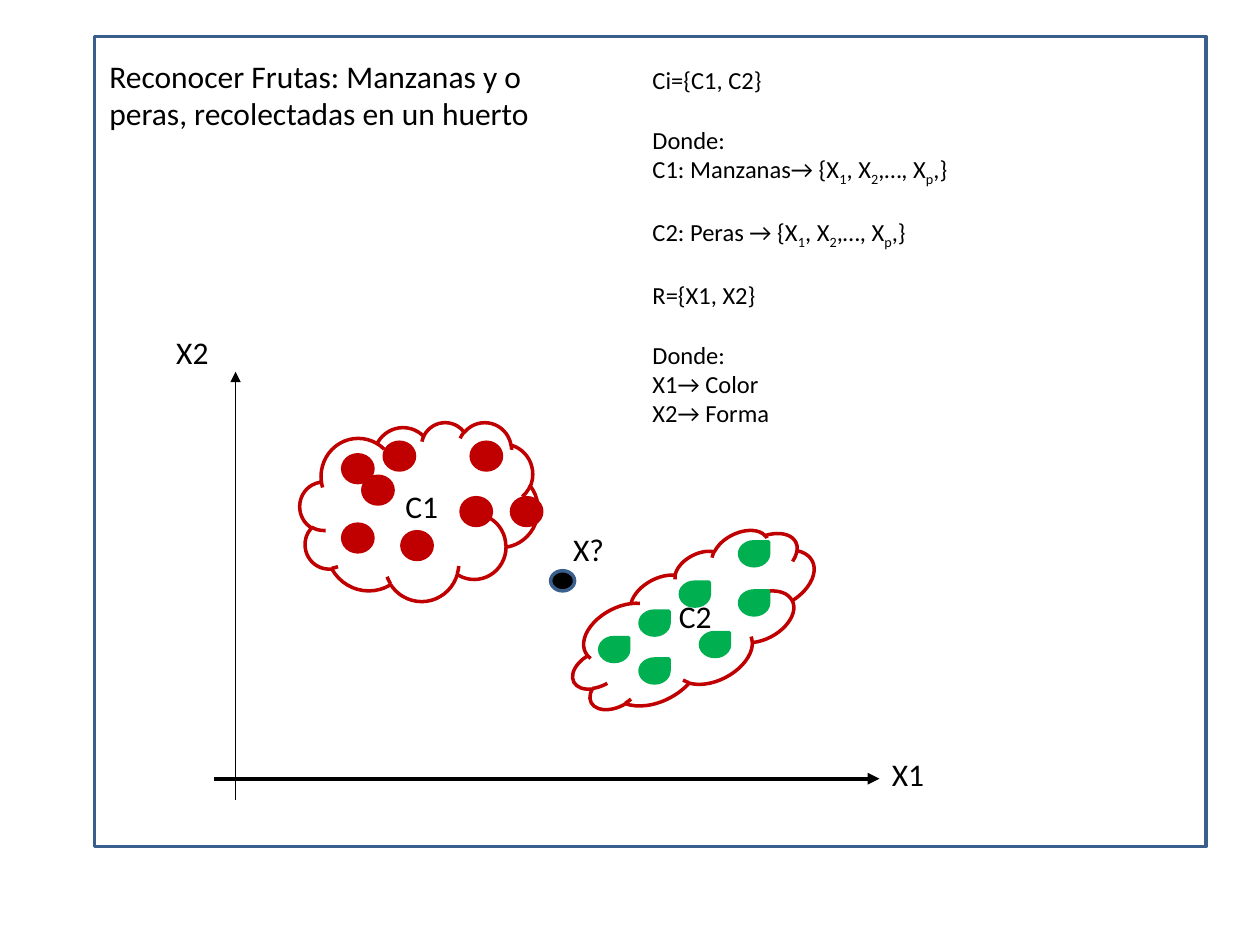
"""Build a slide on classifying apples and pears by colour and shape."""
from dataclasses import dataclass
from typing import NamedTuple, Optional

from lxml.etree import SubElement
from pptx import Presentation
from pptx.dml.color import RGBColor
from pptx.enum.shapes import MSO_CONNECTOR, MSO_SHAPE
from pptx.enum.text import MSO_AUTO_SIZE
from pptx.oxml.ns import qn
from pptx.util import Inches, Pt


@dataclass(frozen=True)
class Theme:
    font: str = "Calibri"
    label_size: float = 18
    notation_size: float = 14
    notation_gap: float = 17
    outline: float = 2
    ink: str = "000000"
    frame: str = "3A5F8C"
    apple: str = "C00000"
    pear: str = "00B050"


class Box(NamedTuple):
    left: float
    top: float
    width: float
    height: float


class Figure(NamedTuple):
    preset: MSO_SHAPE
    box: Box
    line: str
    fill: Optional[str] = None
    rotation: float = 0


class Label(NamedTuple):
    text: str
    box: Box
    wrap: bool = True


class Axis(NamedTuple):
    start: tuple[float, float]
    end: tuple[float, float]
    weight: float


class Statement(NamedTuple):
    text: str
    gap_before: bool = False


THEME = Theme()

AXES = [Axis((1.7, 6.18), (6.98, 6.18), 2.25), Axis((1.87, 6.35), (1.87, 2.95), 0.75)]

FEATURES = "{X_1, X_2,…, X_p,}"
NOTATION = [
    Statement("Ci={C1, C2}"),
    Statement("Donde:", True),
    Statement(f"C1: Manzanas→ {FEATURES}"),
    Statement(f"C2: Peras → {FEATURES}", True),
    Statement("R={X1, X2}", True),
    Statement("Donde: ", True),
    Statement("X1→ Color"),
    Statement("X2→ Forma"),
]

CLUSTERS = [
    Figure(MSO_SHAPE.CLOUD, Box(4.45, 4.46, 2.12, 0.98), THEME.apple, rotation=332.7),
    Figure(MSO_SHAPE.CLOUD, Box(2.38, 3.35, 1.89, 1.42), THEME.apple),
]
UNKNOWN = Figure(MSO_SHAPE.OVAL, Box(4.37, 4.53, 0.19, 0.16), THEME.frame, THEME.ink)

LABELS = [
    Label("C1", Box(3.12, 3.82, 0.46, 0.4), False),
    Label("C2", Box(5.29, 4.69, 0.97, 0.4)),
    Label("X2", Box(1.3, 2.59, 0.81, 0.4)),
    Label("X1", Box(6.98, 5.94, 0.81, 0.4)),
    Label("Reconocer Frutas: Manzanas y o peras, recolectadas en un huerto",
          Box(0.77, 0.4, 3.9, 0.71)),
]
UNKNOWN_LABEL = Label("X?", Box(4.45, 4.16, 0.45, 0.4), False)

PEARS = [(4.76, 5.06), (5.08, 5.23), (5.08, 4.85), (5.56, 5.02),
         (5.4, 4.62), (5.87, 4.69), (5.87, 4.3)]
APPLES = [(2.72, 3.61), (2.88, 3.78), (3.66, 3.95), (3.05, 3.51),
          (4.06, 3.95), (3.74, 3.51), (2.72, 4.16), (3.19, 4.22)]


def draw_figure(slide, figure: Figure) -> None:
    shape = slide.shapes.add_shape(figure.preset, *map(Inches, figure.box))
    shape.shadow.inherit = False
    shape.rotation = figure.rotation
    shape.line.color.rgb = RGBColor.from_string(figure.line)
    shape.line.width = Pt(THEME.outline)
    if figure.fill:
        shape.fill.solid()
        shape.fill.fore_color.rgb = RGBColor.from_string(figure.fill)
    else:
        shape.fill.background()


def draw_axis(slide, axis: Axis) -> None:
    arrow = slide.shapes.add_connector(
        MSO_CONNECTOR.STRAIGHT, *map(Inches, axis.start + axis.end))
    arrow.line.color.rgb = RGBColor.from_string(THEME.ink)
    arrow.line.width = Pt(axis.weight)
    SubElement(arrow.line._get_or_add_ln(), qn("a:tailEnd"), type="triangle")
    SubElement(arrow._element.spPr, qn("a:effectLst"))


def add_frame(slide, box: Box, wrap: bool = True):
    frame = slide.shapes.add_textbox(*map(Inches, box)).text_frame
    frame.word_wrap = wrap
    frame.auto_size = MSO_AUTO_SIZE.SHAPE_TO_FIT_TEXT
    return frame


def style_paragraph(paragraph, size: float) -> None:
    paragraph.font.name = THEME.font
    paragraph.font.size = Pt(size)
    paragraph.font.color.rgb = RGBColor.from_string(THEME.ink)


def draw_label(slide, label: Label) -> None:
    paragraph = add_frame(slide, label.box, label.wrap).paragraphs[0]
    paragraph.add_run().text = label.text
    style_paragraph(paragraph, THEME.label_size)


def write_statement(paragraph, statement: Statement) -> None:
    """Write a line in which an underscore lowers the next character."""
    style_paragraph(paragraph, THEME.notation_size)
    if statement.gap_before:
        paragraph.space_before = Pt(THEME.notation_gap)
    opening, *indexed = statement.text.split("_")
    paragraph.add_run().text = opening
    for part in indexed:
        subscript = paragraph.add_run()
        subscript.text = part[0]
        subscript._r.get_or_add_rPr().set("baseline", "-25000")
        paragraph.add_run().text = part[1:]


def draw_notation(slide, box: Box, statements: list[Statement]) -> None:
    frame = add_frame(slide, box)
    for index, statement in enumerate(statements):
        paragraph = frame.add_paragraph() if index else frame.paragraphs[0]
        write_statement(paragraph, statement)


def draw_fruits(slide, preset: MSO_SHAPE, places: list[tuple[float, float]],
                size: tuple[float, float], color: str) -> None:
    for place in places:
        draw_figure(slide, Figure(preset, Box(*place, *size), color, color))


def main() -> None:
    presentation = Presentation()
    presentation.slide_width = Inches(10)
    presentation.slide_height = Inches(7.5)
    slide = presentation.slides.add_slide(presentation.slide_layouts[6])

    draw_figure(slide, Figure(MSO_SHAPE.RECTANGLE, Box(0.75, 0.29, 8.82, 6.43), THEME.frame))
    for axis in AXES:
        draw_axis(slide, axis)
    draw_notation(slide, Box(5.08, 0.47, 4.82, 2.93), NOTATION)
    for figure in [*CLUSTERS, UNKNOWN]:
        draw_figure(slide, figure)
    for label in LABELS:
        draw_label(slide, label)
    draw_fruits(slide, MSO_SHAPE.TEAR, PEARS, (0.23, 0.19), THEME.pear)
    draw_fruits(slide, MSO_SHAPE.OVAL, APPLES, (0.24, 0.22), THEME.apple)
    draw_label(slide, UNKNOWN_LABEL)

    presentation.save("out.pptx")


main()
